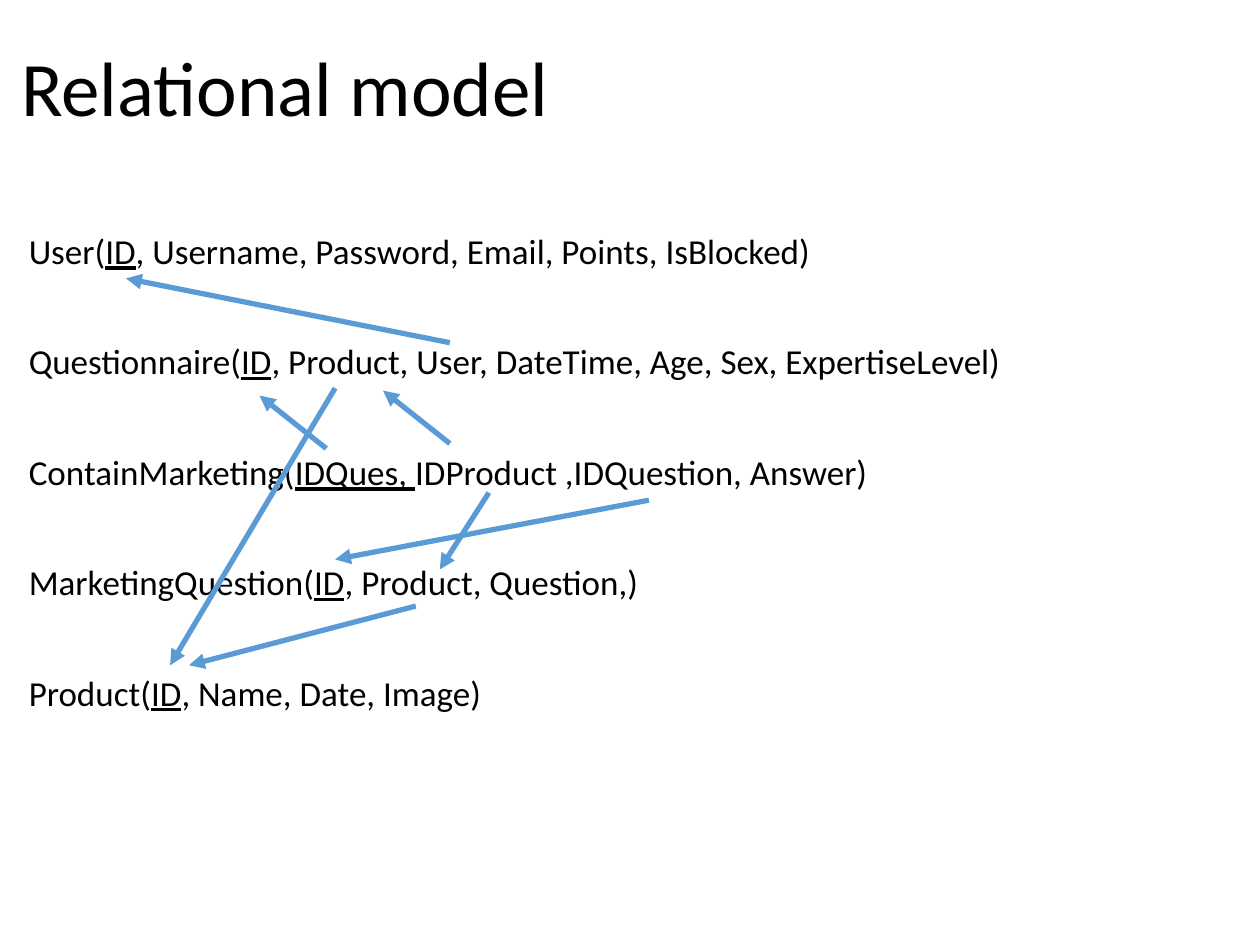
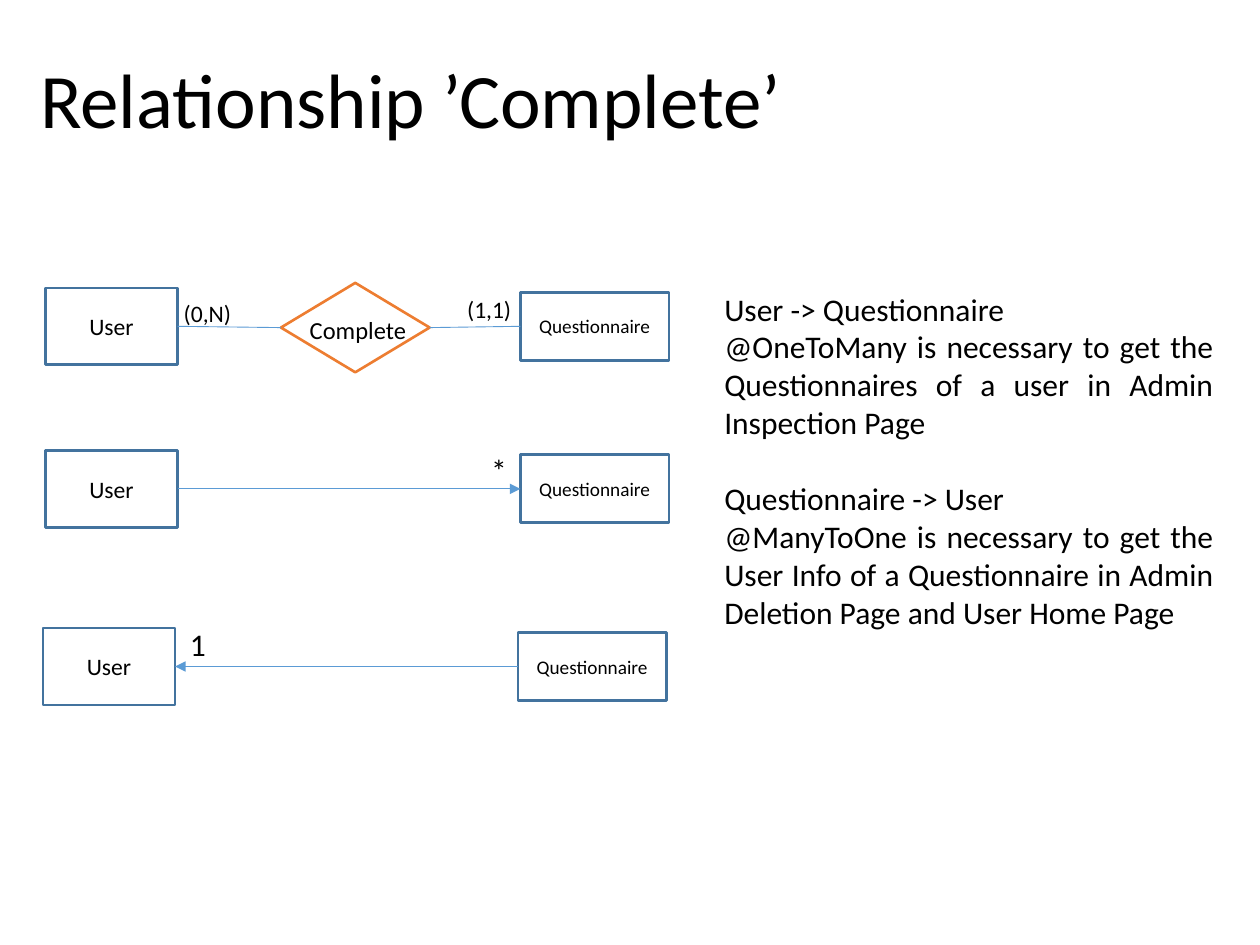
from lxml import etree
from pptx import Presentation
from pptx.dml.color import RGBColor
from pptx.enum import shapes, text
from pptx.oxml import ns
from pptx.util import Inches, Pt

FONT = "Calibri"
BLACK = RGBColor(0x00, 0x00, 0x00)
WHITE = RGBColor(0xFF, 0xFF, 0xFF)
ARROW_BLUE = RGBColor(0x5B, 0x9B, 0xD5)
ENTITY_BLUE = RGBColor(0x43, 0x73, 0x9E)
RELATION_ORANGE = RGBColor(0xED, 0x7D, 0x31)

TOP, LEFT, BOTTOM, RIGHT = range(4)

RELATIONS = [
    ("User(", "ID", ", Username, Password, Email, Points, IsBlocked)"),
    ("Questionnaire(", "ID", ", Product, User, DateTime, Age, Sex, ExpertiseLevel)"),
    ("ContainMarketing(", "IDQues, ", "IDProduct ,IDQuestion, Answer)"),
    ("MarketingQuestion(", "ID", ", Product, Question,)"),
    ("Product(", "ID", ", Name, Date, Image)"),
]

FOREIGN_KEYS = [
    ((2.66, 3.08), (1.35, 5.28)),
    ((3.57, 2.72), (1, 2.21)),
    ((3.3, 4.81), (1.5, 5.28)),
    ((2.59, 3.56), (2.06, 3.14)),
    ((3.88, 3.91), (3.49, 4.52)),
    ((5.15, 3.97), (2.66, 4.44)),
    ((3.57, 3.52), (3.04, 3.1)),
]

MAPPING_NOTES = [
    "User -> Questionnaire",
    "@OneToMany is necessary to get the Questionnaires of a user in Admin Inspection Page",
    "Questionnaire -> User",
    "@ManyToOne is necessary to get the User Info of a Questionnaire in Admin "
    "Deletion Page and User Home Page",
]


def style_runs(p, size):
    for r in p.runs:
        r.font.name = FONT
        r.font.size = Pt(size)
        r.font.color.rgb = BLACK


def add_text(slide, box, lines, size, wrap=True):
    sp = slide.shapes.add_textbox(*map(Inches, box))
    tf = sp.text_frame
    tf.word_wrap = wrap
    tf.text = "\n".join(lines)
    for p in tf.paragraphs:
        style_runs(p, size)
    return tf


def add_title(slide, left, top, title):
    tf = add_text(slide, (left, top, 8.62, 1.45), [title], 44)
    tf.vertical_anchor = text.MSO_ANCHOR.MIDDLE
    tf.paragraphs[0].line_spacing = 0.9


def add_relations(slide):
    tf = add_text(slide, (0.13, 1.81, 10.91, 5.42), [""] * len(RELATIONS), 20)
    for i, (p, parts) in enumerate(zip(tf.paragraphs, RELATIONS)):
        p.line_spacing = 0.9
        p.space_before = Pt(41.5 if i else 0)
        for part in parts:
            p.add_run().text = part
        p.runs[1].font.underline = True
        style_runs(p, 20)


def add_line(slide, width, start=(0, 0), end=(0, 0), arrow=False):
    line = slide.shapes.add_connector(
        shapes.MSO_CONNECTOR.STRAIGHT, *map(Inches, (*start, *end)))
    line.line.color.rgb = ARROW_BLUE
    line.line.width = Pt(width)
    if arrow:
        etree.SubElement(line.line._get_or_add_ln(), ns.qn("a:tailEnd"), type="triangle")
    etree.SubElement(line._element.spPr, ns.qn("a:effectLst"))
    return line


def join(slide, source, source_side, target, target_side, arrow=False):
    line = add_line(slide, 0.5, arrow=arrow)
    line.begin_connect(source, source_side)
    line.end_connect(target, target_side)


def add_outline(slide, kind, left, middle, width, height, color):
    sp = slide.shapes.add_shape(
        kind, *map(Inches, (left, middle - height / 2, width, height)))
    sp.shadow.inherit = False
    sp.line.color.rgb = color
    sp.line.width = Pt(1.5)
    return sp


def add_entity(slide, name, left, middle, width, height, size):
    sp = add_outline(slide, shapes.MSO_SHAPE.RECTANGLE, left, middle, width, height,
                     ENTITY_BLUE)
    sp.fill.background()
    tf = sp.text_frame
    tf.text = name
    tf.vertical_anchor = text.MSO_ANCHOR.MIDDLE
    p = tf.paragraphs[0]
    p.alignment = text.PP_ALIGN.CENTER
    style_runs(p, size)
    return sp


def add_entity_pair(slide, left, middle):
    user = add_entity(slide, "User", left, middle, 1.05, 0.61, 13.5)
    questionnaire = add_entity(slide, "Questionnaire", left + 3.77, middle, 1.18, 0.54, 11)
    return user, questionnaire


def add_mapping_notes(slide):
    tf = add_text(slide, (5.65, 2.25, 4.08, 2.83), MAPPING_NOTES, 18)
    for p in tf.paragraphs:
        p.alignment = text.PP_ALIGN.JUSTIFY
    tf.paragraphs[2].space_before = Pt(22)


def build_relational_model(slide):
    add_title(slide, 0.07, 0, "Relational model")
    add_relations(slide)
    for start, end in FOREIGN_KEYS:
        add_line(slide, 3, start, end, arrow=True)


def build_relationship(slide):
    add_title(slide, 0.22, 0.1, "Relationship ’Complete’")

    user, questionnaire = add_entity_pair(slide, 0.36, 2.59)
    complete = add_outline(slide, shapes.MSO_SHAPE.DIAMOND, 2.23, 2.6, 1.18, 0.71,
                           RELATION_ORANGE)
    complete.fill.solid()
    complete.fill.fore_color.rgb = WHITE
    add_text(slide, (2.36, 2.45, 1.05, 0.34), ["Complete"], 14)
    join(slide, user, RIGHT, complete, LEFT)
    join(slide, complete, RIGHT, questionnaire, LEFT)

    user, questionnaire = add_entity_pair(slide, 0.36, 3.88)
    join(slide, user, RIGHT, questionnaire, LEFT, arrow=True)

    user, questionnaire = add_entity_pair(slide, 0.34, 5.29)
    join(slide, questionnaire, LEFT, user, RIGHT, arrow=True)

    for label, box, size in (
        ("(0,N)", (1.36, 2.32, 0.58, 0.33), 13.5),
        ("(1,1)", (3.61, 2.29, 0.56, 0.33), 13.5),
        ("*", (3.8, 3.53, 0.33, 0.4), 18),
        ("1", (1.41, 4.91, 0.33, 0.4), 18),
    ):
        add_text(slide, box, [label], size, wrap=False)
    add_mapping_notes(slide)


def main():
    prs = Presentation()
    prs.slide_width, prs.slide_height = Inches(10), Inches(7.5)
    blank = prs.slide_layouts[6]
    for build in (build_relational_model, build_relationship):
        build(prs.slides.add_slide(blank))
    prs.save("out.pptx")


if __name__ == "__main__":
    main()
